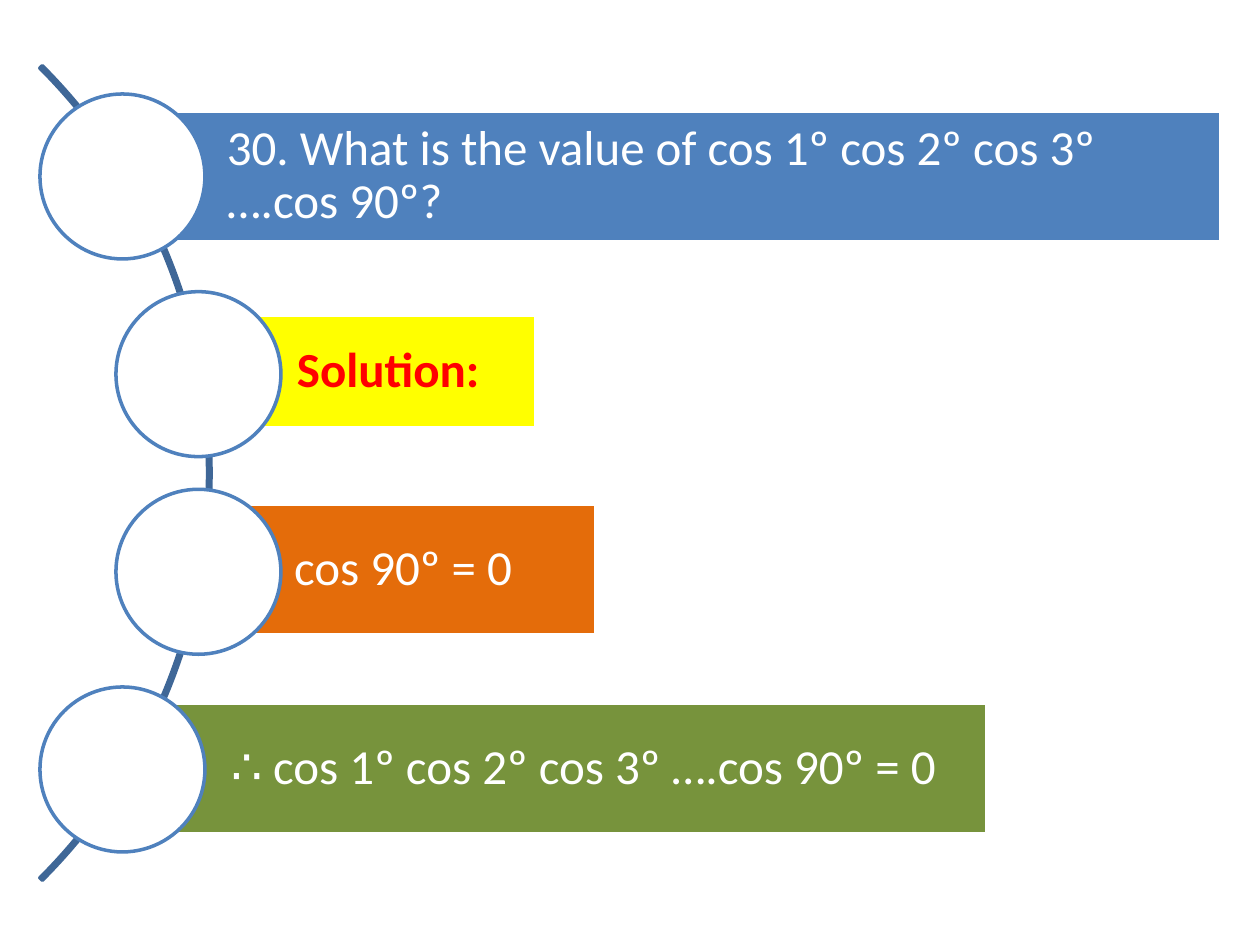
from pptx import Presentation
from pptx.dml.color import RGBColor
from pptx.enum.shapes import MSO_SHAPE
from pptx.enum.text import MSO_ANCHOR, PP_ALIGN
from pptx.util import Emu, Pt

RECTANGLE, OVAL, ARC = MSO_SHAPE.RECTANGLE, MSO_SHAPE.OVAL, MSO_SHAPE.BLOCK_ARC
MIDDLE, LEFT = MSO_ANCHOR.MIDDLE, PP_ALIGN.LEFT

# Content: text, bar (left, top, width, height), bar colour, text colour, bold, circle left
STEPS = [
    ("30. What is the value of cos 1º cos 2º cos 3º ….cos 90º?",
     (122, 111, 1099, 131), "4F81BD", "FFFFFF", False, 40),
    ("Solution:", (192, 315, 344, 113), "FFFF00", "FF0000", True, 116),
    ("cos 90º = 0", (189, 504, 407, 131), "E46C0A", "FFFFFF", False, 116),
    ("∴ cos 1º cos 2º cos 3º ….cos 90º = 0",
     (126, 703, 861, 131), "77933C", "FFFFFF", False, 40),
]
CIRCLE_SIZE = 165
FIRST_CIRCLE, LAST_CIRCLE = 94, 687
ARC_BOX = (-941, -103, 1152, 1152)
ARC_ADJUSTMENTS = (189, 27, 0.003)  # start angle, end angle, thickness


def px(value):
    return Emu(round(value * 914400 / 126))


def colour(value):
    return RGBColor.from_string(value)


def add_part(slide, kind, box, line, fill=None):
    part = slide.shapes.add_shape(kind, *map(px, box))
    part.shadow.inherit = False
    if fill:
        part.fill.solid()
        part.fill.fore_color.rgb = colour(fill)
    else:
        part.fill.background()
    part.line.color.rgb = colour(line)
    part.line.width = Pt(2)
    return part


def set_text(part, text, text_colour, bold):
    frame = part.text_frame
    frame.word_wrap = True
    frame.vertical_anchor = MIDDLE
    frame.margin_left = px(105)
    frame.margin_top = frame.margin_right = frame.margin_bottom = px(10)
    frame.text = text
    para = frame.paragraphs[0]
    para.alignment = LEFT
    para.line_spacing = 0.9
    font = para.runs[0].font
    font.name, font.size, font.bold = "Calibri", Pt(28), bold
    font.color.rgb = colour(text_colour)


def main():
    deck = Presentation()
    deck.slide_width, deck.slide_height = px(1260), px(945)
    slide = deck.slides.add_slide(deck.slide_layouts[6])

    # Curve linking the steps
    arc = add_part(slide, ARC, ARC_BOX, "3F6797")
    for index, value in enumerate(ARC_ADJUSTMENTS):
        arc.adjustments[index] = value

    # Bars, each with a circle over its left end
    pitch = (LAST_CIRCLE - FIRST_CIRCLE) / (len(STEPS) - 1)
    for index, (text, box, fill, text_colour, bold, left) in enumerate(STEPS):
        bar = add_part(slide, RECTANGLE, box, "FFFFFF", fill)
        set_text(bar, text, text_colour, bold)
        circle_box = (left, FIRST_CIRCLE + index * pitch, CIRCLE_SIZE, CIRCLE_SIZE)
        add_part(slide, OVAL, circle_box, "4F81BD", "FFFFFF")

    deck.save("out.pptx")


if __name__ == "__main__":
    main()
